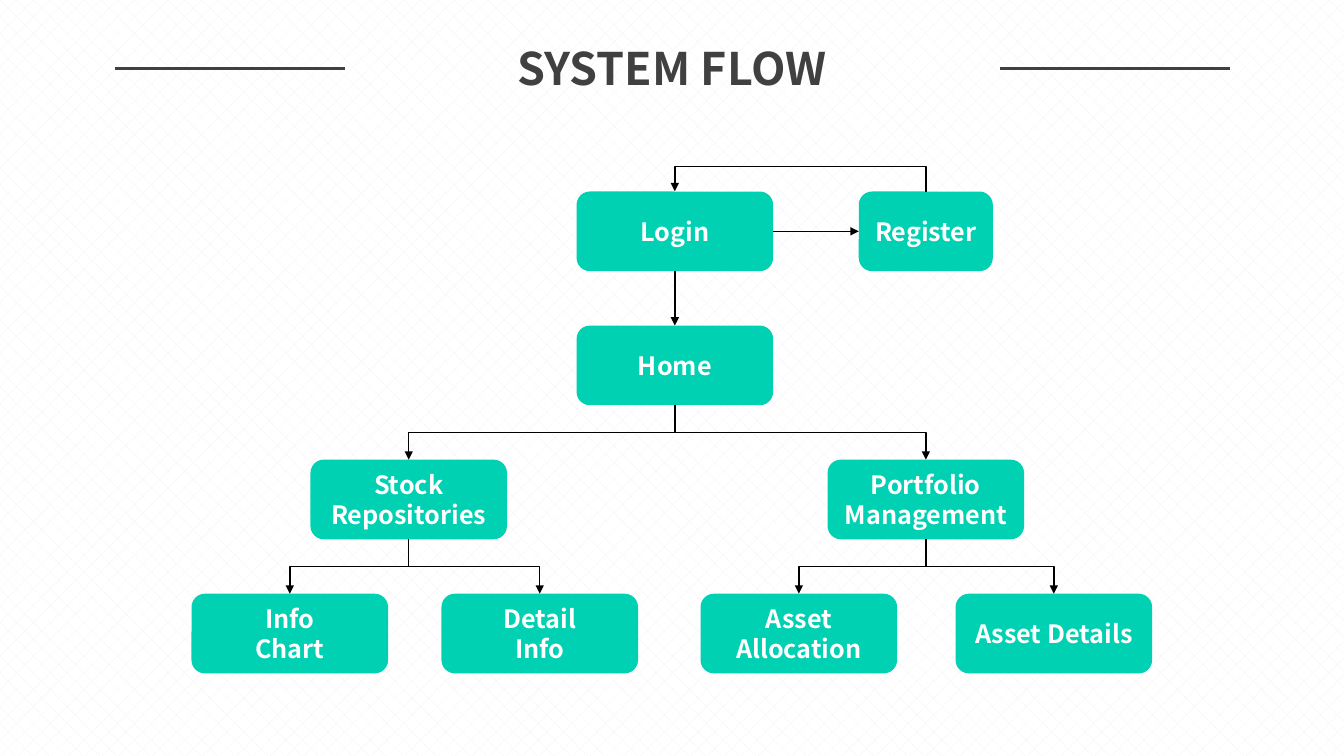
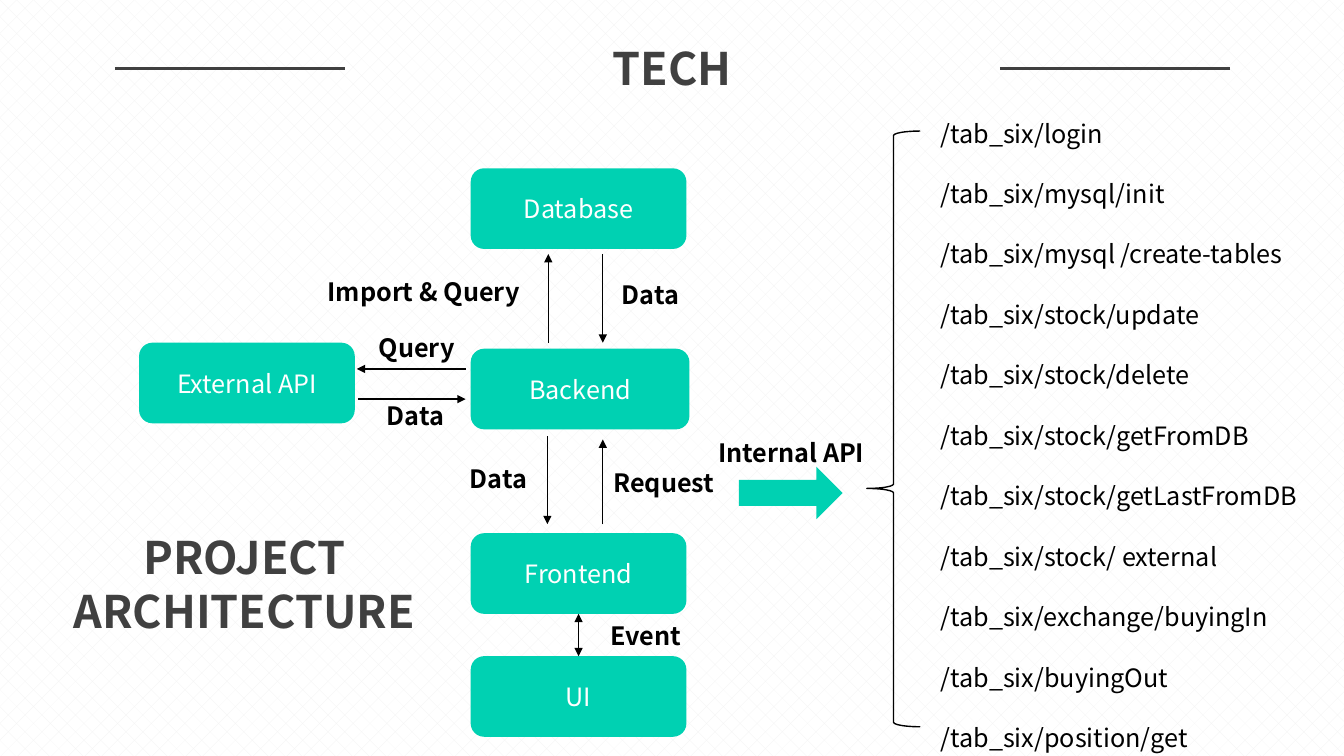
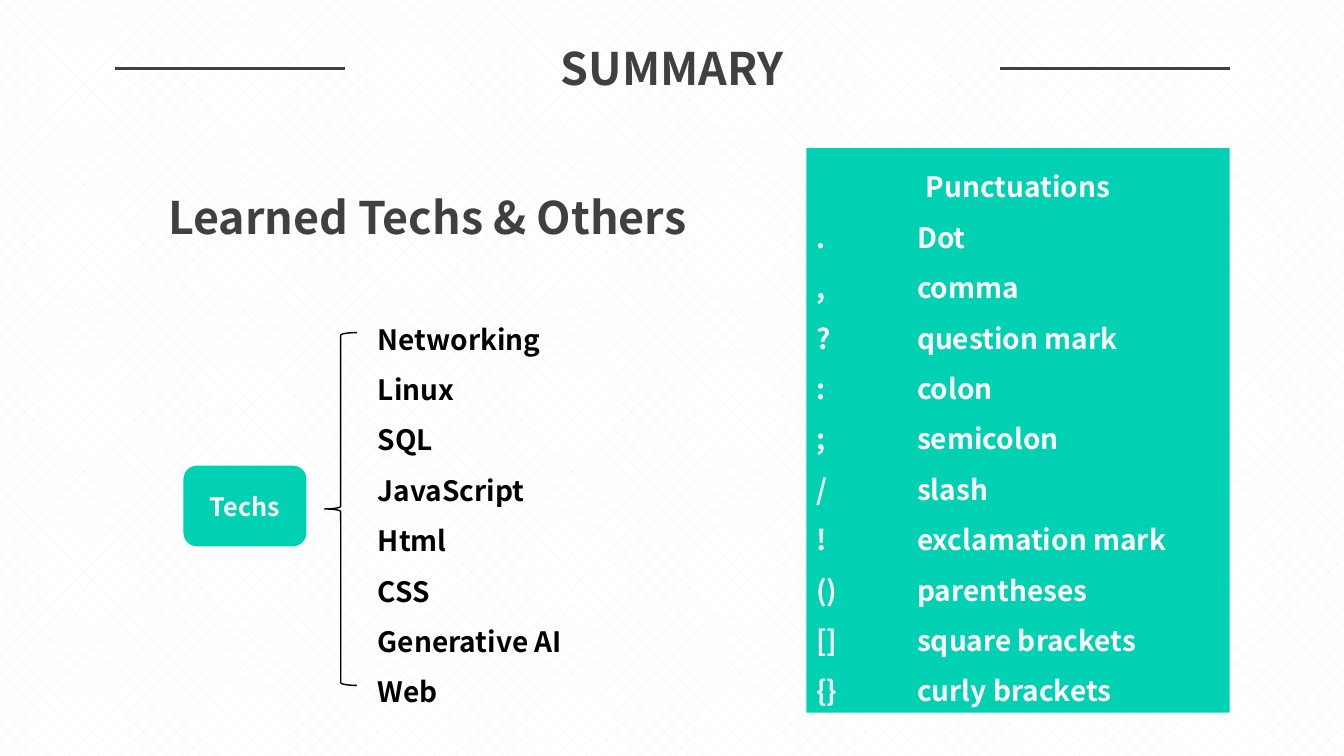
from lxml.etree import SubElement
from pptx import Presentation
from pptx.dml.color import RGBColor
from pptx.enum.dml import MSO_PATTERN
from pptx.enum.shapes import MSO_CONNECTOR as Wire, MSO_SHAPE as Shape
from pptx.enum.text import MSO_ANCHOR as Anchor, PP_ALIGN as Align
from pptx.oxml.ns import qn
from pptx.util import Pt

PX = 9144
FACE = "Noto Sans CJK SC"
TEAL = RGBColor(0x00, 0xD1, 0xB2)
GRAY = RGBColor(0x40, 0x40, 0x40)
PALE = RGBColor(0xF2, 0xF2, 0xF2)
WHITE = RGBColor(0xFF, 0xFF, 0xFF)
BLACK = RGBColor(0x00, 0x00, 0x00)
TOP, LEFT, BOTTOM, RIGHT = range(4)

HEAD = {"size": Pt(32), "bold": True}
BOLD = {"size": Pt(18), "bold": True}
BODY = {"size": Pt(18), "bold": False}
LIST = {"size": Pt(20), "bold": True}

RULES = [(114, 342), (992, 1220)]

FLOW_W, FLOW_H = 195, 79
FLOW_Y = [190, 323, 456, 589]
FLOW = [
    ("Login", 572, 0, FLOW_W), ("Register", 852, 0, 133),
    ("Home", 572, 1, FLOW_W),
    ("Stock Repositories", 308, 2, FLOW_W),
    ("Portfolio Management", 821, 2, FLOW_W),
    ("Info\nChart", 190, 3, FLOW_W), ("Detail\nInfo", 438, 3, FLOW_W),
    ("Asset Allocation", 695, 3, FLOW_W), ("Asset Details", 948, 3, FLOW_W),
]
STEPS = [("Login", BOTTOM, "Home", TOP), ("Login", RIGHT, "Register", LEFT)]
FORKS = [
    ("Home", "Stock Repositories"), ("Home", "Portfolio Management"),
    ("Stock Repositories", "Info\nChart"), ("Stock Repositories", "Detail\nInfo"),
    ("Portfolio Management", "Asset Allocation"),
    ("Portfolio Management", "Asset Details"),
]
LOOP_RISE = 26

PARTS = [
    ("Database", 467, 167, 214), ("External API", 138, 340, 214),
    ("Backend", 467, 346, 217), ("Frontend", 467, 529, 214),
    ("UI", 467, 651, 214),
]
CALLS = [
    (462, 366, 354, 366), (355, 396, 462, 396),
    (544, 340, 544, 252), (598, 252, 598, 340),
    (543, 433, 543, 520), (598, 520, 598, 436),
]
LABELS = [
    ("Query", 366, 325, 101, Align.LEFT), ("Data", 374, 392, 101, Align.LEFT),
    ("Import & Query", 315, 269, 229, Align.LEFT),
    ("Data", 576, 272, 139, Align.CENTER), ("Data", 437, 455, 115, Align.CENTER),
    ("Request", 594, 459, 129, Align.CENTER),
    ("Internal API", 688, 429, 194, Align.CENTER),
    ("Event", 584, 610, 113, Align.CENTER),
]
ROUTES = [
    "/tab_six/login", "/tab_six/mysql/init", "/tab_six/mysql /create-tables",
    "/tab_six/stock/update", "/tab_six/stock/delete", "/tab_six/stock/getFromDB",
    "/tab_six/stock/getLastFromDB", "/tab_six/stock/ external",
    "/tab_six/exchange/buyingIn", "/tab_six/buyingOut", "/tab_six/position/get",
]

TECHS = ["Networking", "Linux", "SQL", "JavaScript", "Html", "CSS",
         "Generative AI", "Web"]
MARKS = [
    (".", "Dot"), (",", "comma"), ("?", "question mark"), (":", "colon"),
    (";", "semicolon"), ("/", "slash"), ("!", "exclamation mark"),
    ("()", "parentheses"), ("[]", "square brackets"), ("{}", "curly brackets"),
]
MARK_TAB = 100


def emu(*vals):
    return [round(v * PX) for v in vals]


def write(frame, text, fmt, color, align, space=1, tab=0):
    frame.word_wrap = True
    frame.text = text
    for para in frame.paragraphs:
        para.alignment = align
        para.line_spacing = space
        if tab:
            props = para._p.get_or_add_pPr()
            stop = SubElement(SubElement(props, qn("a:tabLst")), qn("a:tab"))
            stop.set("pos", str(tab * PX))
            stop.set("algn", "l")
        for run in para.runs:
            for key, val in {**fmt, "name": FACE}.items():
                setattr(run.font, key, val)
            run.font.color.rgb = color


def label(slide, text, box, fmt, color, align=Align.CENTER, space=1):
    item = slide.shapes.add_textbox(*emu(*box))
    write(item.text_frame, text, fmt, color, align, space)


def solid(slide, kind, box):
    item = slide.shapes.add_shape(kind, *emu(*box))
    item.shadow.inherit = False
    item.fill.solid()
    item.fill.fore_color.rgb = TEAL
    item.line.fill.background()
    return item


def card(slide, text, box, fmt):
    item = solid(slide, Shape.ROUNDED_RECTANGLE, box)
    item.text_frame.vertical_anchor = Anchor.MIDDLE
    write(item.text_frame, text, fmt, WHITE, Align.CENTER)
    return item


def brace(slide, box, tip=0.5):
    item = slide.shapes.add_shape(Shape.LEFT_BRACE, *emu(*box))
    item.shadow.inherit = False
    item.fill.background()
    item.line.color.rgb = BLACK
    item.line.width = Pt(1)
    item.adjustments[1] = tip


def wire(slide, ends=(0, 0, 0, 0), kind=Wire.STRAIGHT, color=BLACK, width=1,
         tips=("tailEnd",)):
    link = slide.shapes.add_connector(kind, *emu(*ends))
    link.line.color.rgb = color
    link.line.width = Pt(width)
    props = link.element.spPr
    for tip in tips:
        SubElement(props.find(qn("a:ln")), qn("a:" + tip)).set("type", "triangle")
    SubElement(props, qn("a:effectLst"))
    return link


def join(slide, a, out, b, into, **opts):
    link = wire(slide, **opts)
    link.begin_connect(a, out)
    link.end_connect(b, into)
    return link


def bend(slide, a, out, b, rise=0):
    link = join(slide, a, out, b, TOP, kind=Wire.ELBOW)
    x1, y1, x2, y2 = link.begin_x, link.begin_y, link.end_x, link.end_y
    wide = PX // 4 if rise else y2 - y1
    high = abs(x2 - x1)
    place = {"left": (x1 + x2 - wide) // 2, "top": (y1 + y2 - high) // 2,
             "width": wide, "height": high}
    for key, val in place.items():
        setattr(link, key, val)
    right = x2 > x1
    turn = 270 if right or rise else 90
    turned = {"rot": turn * 60000, "flipH": int(right), "flipV": int(rise > 0)}
    for key, val in turned.items():
        link.element.spPr.find(qn("a:xfrm")).set(key, str(val))
    if rise:
        shape = link.element.spPr.find(qn("a:prstGeom"))
        guides = shape.find(qn("a:avLst"))
        if guides is None:
            guides = SubElement(shape, qn("a:avLst"))
        guide = SubElement(guides, qn("a:gd"))
        guide.set("name", "adj1")
        guide.set("fmla", f"val {rise * PX * 100000 // wide}")


def page(deck, title):
    slide = deck.slides.add_slide(deck.slide_layouts[6])
    label(slide, title, (342, 36, 650, 64), HEAD, GRAY)
    for x1, x2 in RULES:
        wire(slide, (x1, 68, x2, 68), color=GRAY, width=2.25, tips=())
    return slide


def flow(deck):
    slide = page(deck, "SYSTEM FLOW")
    cards = {text: card(slide, text, (x, FLOW_Y[row], w, FLOW_H), BOLD)
             for text, x, row, w in FLOW}
    for a, out, b, into in STEPS:
        join(slide, cards[a], out, cards[b], into)
    for a, b in FORKS:
        bend(slide, cards[a], BOTTOM, cards[b])
    bend(slide, cards["Register"], TOP, cards["Login"], LOOP_RISE)


def tech(deck):
    slide = page(deck, "TECH")
    cards = {text: card(slide, text, (x, y, w, 80), BODY)
             for text, x, y, w in PARTS}
    for ends in CALLS:
        wire(slide, ends)
    join(slide, cards["Frontend"], BOTTOM, cards["UI"], TOP,
         tips=("headEnd", "tailEnd"))
    for text, x, y, w, align in LABELS:
        label(slide, text, (x, y, w, 40), BOLD, BLACK, align)
    solid(slide, Shape.RIGHT_ARROW, (733, 463, 103, 52))
    brace(slide, (860, 130, 53, 591), 0.6)
    label(slide, "\n".join(ROUTES), (923, 82, 391, 667), BODY, BLACK,
          Align.LEFT, 2)
    label(slide, "PROJECT\nARCHITECTURE", (46, 521, 393, 118), HEAD, GRAY)


def summary(deck):
    slide = page(deck, "SUMMARY")
    label(slide, "Learned Techs & Others", (129, 183, 590, 64), HEAD, GRAY)
    card(slide, "Techs", (182, 462, 122, 80), BOLD)
    brace(slide, (322, 330, 32, 350))
    label(slide, "\n".join(TECHS), (365, 298, 231, 408), LIST, BLACK,
          Align.LEFT, 1.5)
    panel = solid(slide, Shape.RECTANGLE, (800, 147, 420, 560))
    frame = panel.text_frame
    frame.vertical_anchor = Anchor.TOP
    rows = ["Punctuations"] + ["\t".join(mark) for mark in MARKS]
    write(frame, "\n".join(rows), LIST, WHITE, Align.LEFT, 1.5, MARK_TAB)
    frame.paragraphs[0].alignment = Align.CENTER


def main():
    deck = Presentation()
    deck.slide_width, deck.slide_height = emu(1333.33, 750)
    back = deck.slide_master.background.fill
    back.patterned()
    back.pattern = MSO_PATTERN.DIAGONAL_BRICK
    back.fore_color.rgb = PALE
    back.back_color.rgb = WHITE
    for build in (flow, tech, summary):
        build(deck)
    deck.save("out.pptx")


if __name__ == "__main__":
    main()
